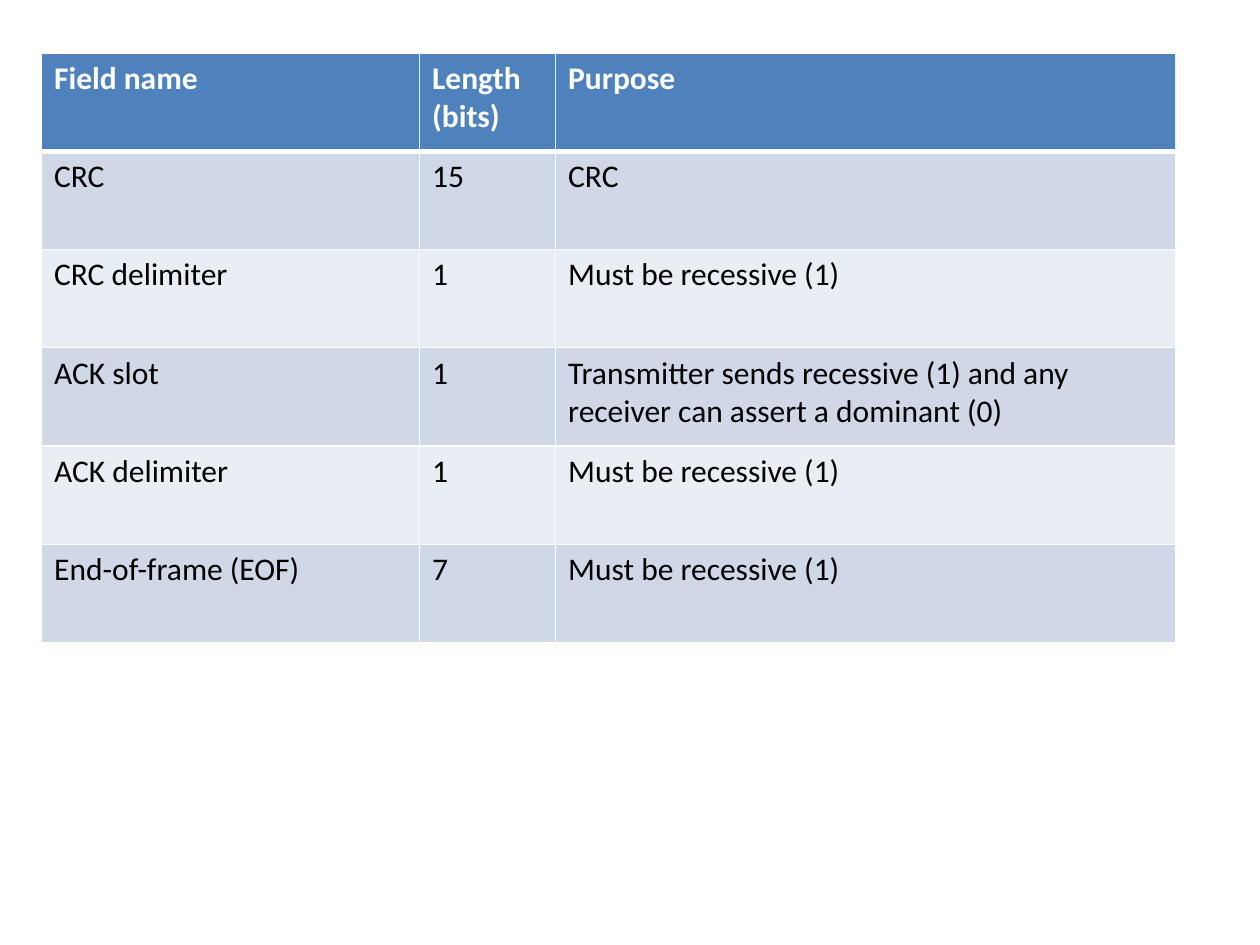
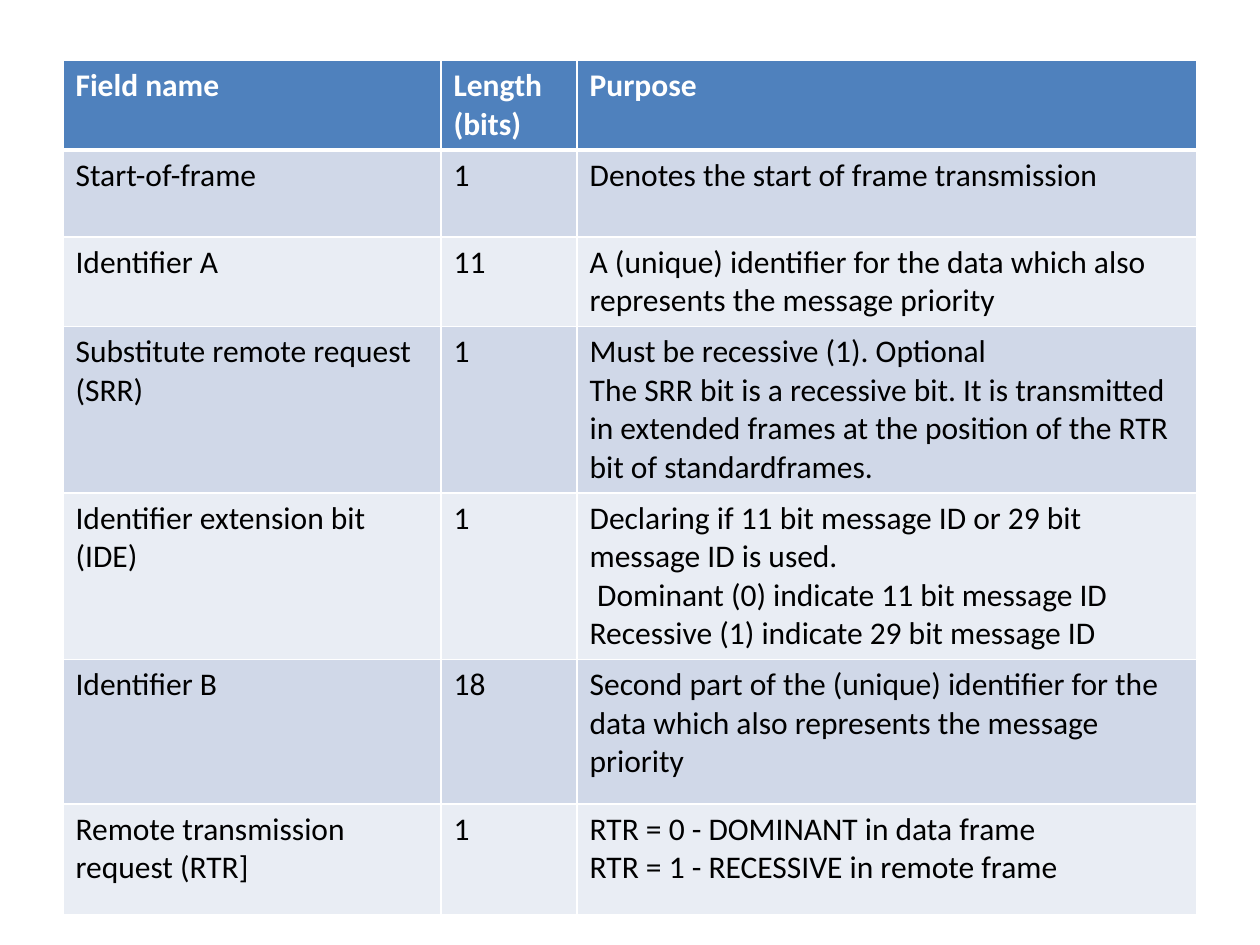
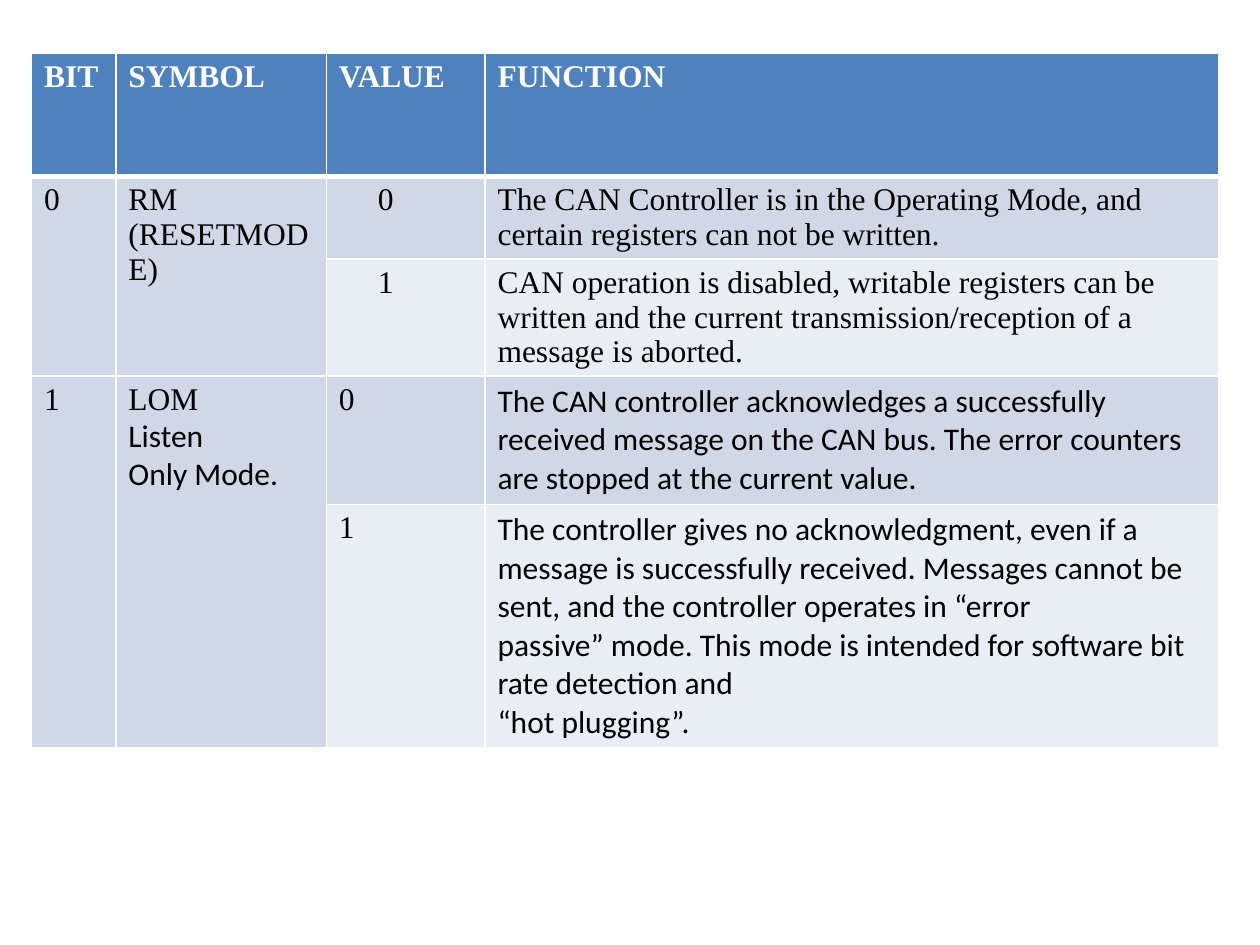
"""Build three slides of tables on CAN frame fields and controller mode bits."""
from lxml.etree import SubElement as Sub
from pptx import Presentation
from pptx.dml.color import RGBColor as Rgb
from pptx.oxml.ns import qn
from pptx.util import Inches, Pt

WHITE, BLACK, BLUE = "FFFFFF", "000000", "4F81BD"
BANDS = ["E9EDF4", "D0D8E8"]
SANS, SERIF = "Calibri", "Times New Roman"
SIZE, THIN, THICK = 18, 1, 3

HEAD = ["Field name", "Length (bits)", "Purpose"]
WIDTHS = [3, 1.08, 4.92]
MUST = "Must be recessive (1)"


def para(text, font=None, indent=0):
    return {"text": text, "font": font, "indent": indent}


def sans(*lines):
    return [para(line, SANS) for line in lines]


TABLES = [
    {
        "at": (0.33, 0.42), "font": SANS, "cols": WIDTHS, "heights": [0.78] * 6,
        "rows": [
            HEAD,
            ["CRC", "15", "CRC"],
            ["CRC delimiter", "1", MUST],
            ["ACK slot", "1", "Transmitter sends recessive (1) and any receiver can assert a dominant (0)"],
            ["ACK delimiter", "1", MUST],
            ["End-of-frame (EOF)", "7", MUST],
        ],
    },
    {
        "at": (0.5, 0.48), "font": SANS, "cols": WIDTHS,
        "heights": [0.69, 0.69, 0.69, 1.32, 1.32, 1.15, 0.88],
        "rows": [
            HEAD,
            ["Start-of-frame", "1", "Denotes the start of frame transmission"],
            ["Identifier A", "11",
             "A (unique) identifier for the data which also represents the message priority"],
            ["Substitute remote request (SRR)", "1", [
                "Must be recessive (1). Optional",
                "The SRR bit is a recessive bit. It is transmitted in extended frames "
                "at the position of the RTR bit of standardframes."]],
            ["Identifier extension bit (IDE)", "1", [
                "Declaring if 11 bit message ID or 29 bit message ID is used.",
                para("Dominant (0) indicate 11 bit message ID "
                     "Recessive (1) indicate 29 bit message ID", indent=0.06)]],
            ["Identifier B", "18",
             "Second part of the (unique) identifier for the data which also "
             "represents the message priority"],
            ["Remote transmission request (RTR]", "1", [
                "RTR = 0 - DOMINANT in data frame",
                "RTR = 1 - RECESSIVE in remote frame"]],
        ],
    },
    {
        "at": (0.25, 0.42), "font": SERIF, "cols": [0.67, 1.67, 1.26, 5.82],
        "heights": [0.98, 0.65, 0.93, 1.02, 1.93],
        "rows": [
            ["BIT", "SYMBOL", "VALUE", "FUNCTION"],
            ["0", ["RM", "(RESETMODE)"], [para("0", indent=0.31)],
             "The CAN Controller is in the Operating Mode, and certain registers can not be written."],
            [None, None, [para("1", indent=0.31)],
             "CAN operation is disabled, writable registers can be written and the "
             "current transmission/reception of a message is aborted."],
            ["1", ["LOM", *sans("Listen", "Only Mode.")], "0",
             sans("The CAN controller acknowledges a successfully received message on the "
                  "CAN bus. The error counters are stopped at the current value.")],
            [None, None, "1", sans(
                "The controller gives no acknowledgment, even if a message is successfully "
                "received. Messages cannot be sent, and the controller operates in “error",
                "passive” mode. This mode is intended for software bit rate detection and",
                "“hot plugging”.")],
        ],
    },
]


def color(code):
    return Rgb.from_string(code)


def edge(cell, row):
    props = cell._tc.get_or_add_tcPr()
    thick = {0: "lnB", 1: "lnT"}.get(row)
    for side in ("lnL", "lnR", "lnT", "lnB"):
        line = Sub(props, qn(f"a:{side}"), w=str(Pt(THICK if side == thick else THIN)))
        Sub(Sub(line, qn("a:solidFill")), qn("a:srgbClr"), val=WHITE)


def write(cell, parts, font, head):
    frame = cell.text_frame
    for i, part in enumerate([parts] if isinstance(parts, str) else parts):
        item = para(part) if isinstance(part, str) else part
        line = frame.add_paragraph() if i else frame.paragraphs[0]
        line.text = item["text"]
        if item["indent"]:
            line._p.get_or_add_pPr().set("indent", str(Inches(item["indent"])))
        line.font.name = item["font"] or font
        line.font.size = Pt(SIZE)
        line.font.bold = head
        line.font.color.rgb = color(WHITE if head else BLACK)


def draw(slide, spec):
    rows, cols, heights = spec["rows"], spec["cols"], spec["heights"]
    box = [Inches(n) for n in (*spec["at"], sum(cols), sum(heights))]
    table = slide.shapes.add_table(len(rows), len(cols), *box).table
    for col, width in zip(table.columns, cols):
        col.width = Inches(width)
    for r, (row, height) in enumerate(zip(rows, heights)):
        table.rows[r].height = Inches(height)
        for c, parts in enumerate(row):
            cell = table.cell(r, c)
            edge(cell, r)
            cell.fill.solid()
            cell.fill.fore_color.rgb = color(BANDS[r % 2] if r else BLUE)
            if parts is None:
                table.cell(r - 1, c).merge(cell)
            else:
                write(cell, parts, spec["font"], r == 0)


def main():
    deck = Presentation()
    deck.slide_width, deck.slide_height = Inches(10), Inches(7.5)
    for spec in TABLES:
        draw(deck.slides.add_slide(deck.slide_layouts[6]), spec)
    deck.save("out.pptx")


if __name__ == "__main__":
    main()
